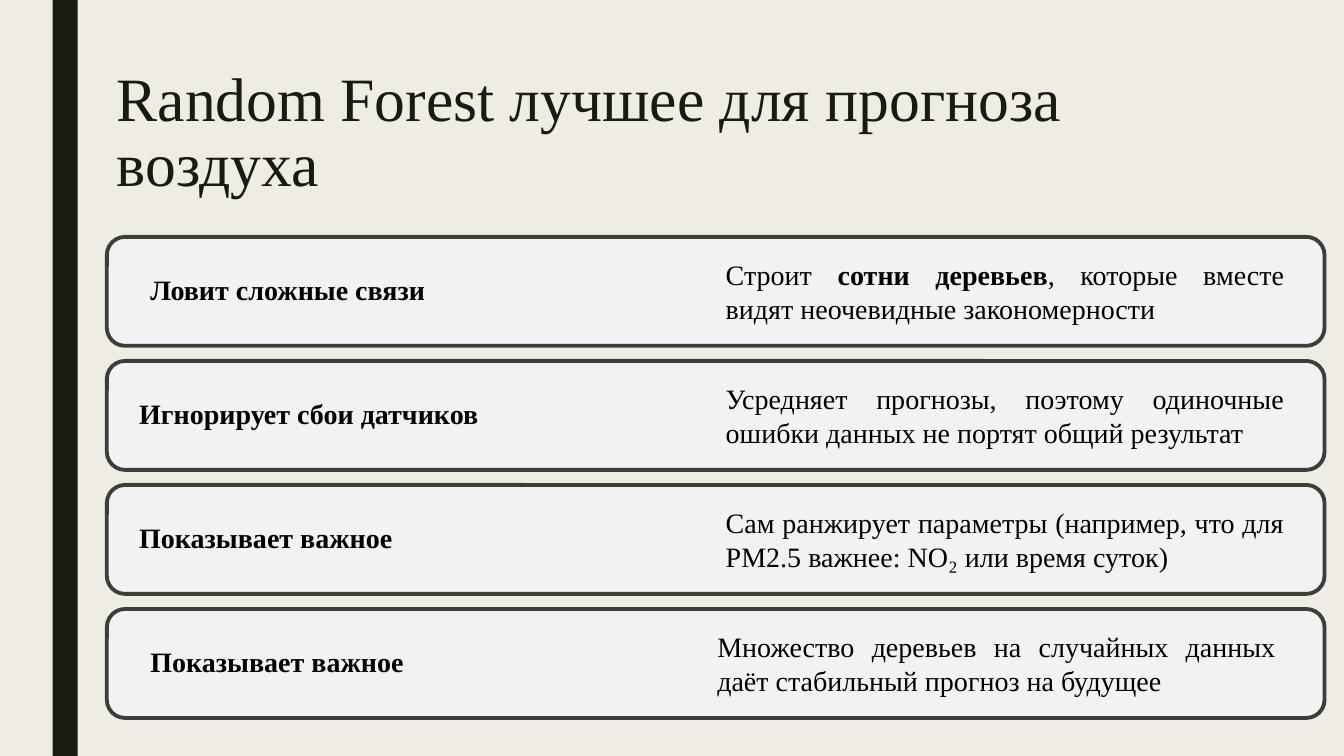
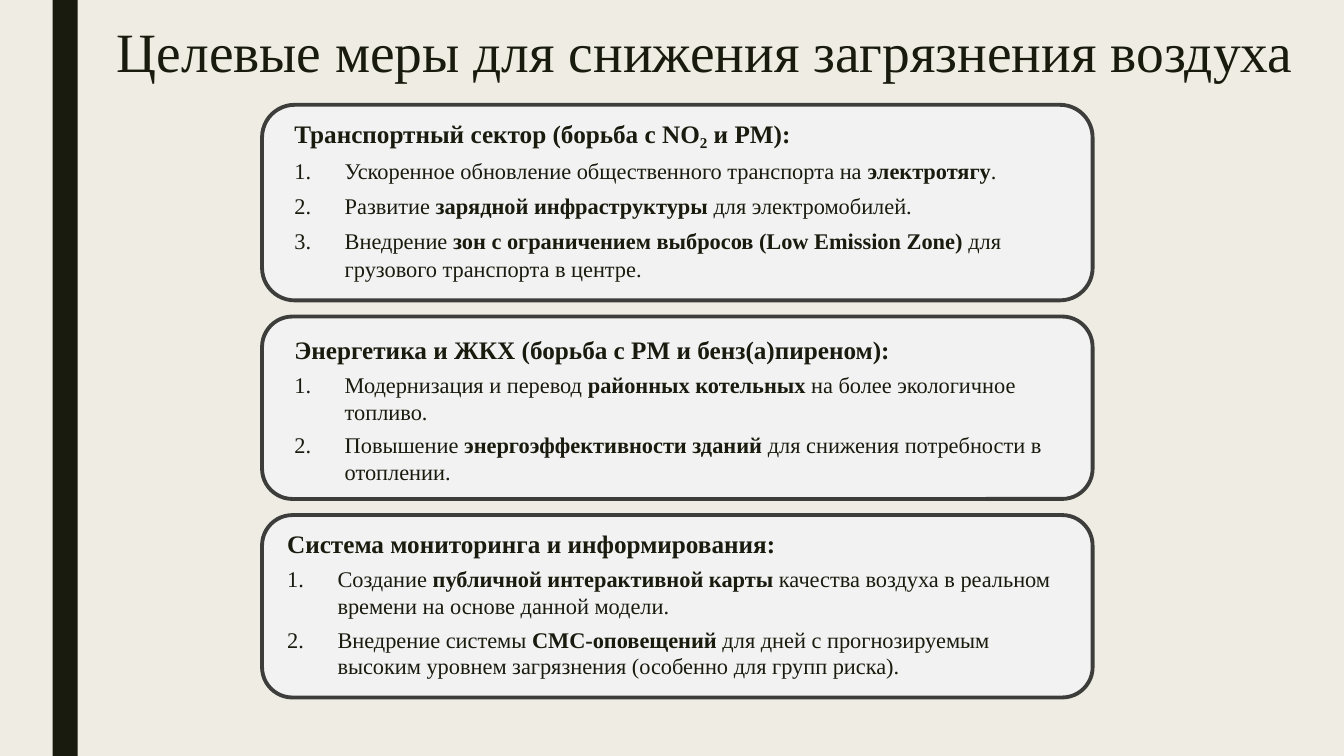
from lxml import etree
from pptx import Presentation
from pptx.dml.color import RGBColor
from pptx.enum import shapes, text
from pptx.oxml.ns import qn
from pptx.util import Pt

COLORS = {"background": "EFEDE3", "ink": "191B0E", "card": "F2F2F2", "outline": "3D3E3B", "black": "000000"}
FONT = "Times New Roman"
WIDTH, HEIGHT = 960, 540
LEFT = 76.3

ADVANTAGES = [
    ("Ловит сложные связи",
     "Строит **сотни деревьев**, которые вместе видят неочевидные закономерности", 24, 435),
    ("Игнорирует сбои датчиков",
     "Усредняет прогнозы, поэтому одиночные ошибки данных не портят общий результат", 16, 435),
    ("Показывает важное",
     "Сам ранжирует параметры (например, что для PM2.5 важнее: NO₂ или время суток)", 16, 435),
    ("Показывает важное",
     "Множество деревьев на случайных данных даёт стабильный прогноз на будущее", 24, 429),
]

MEASURES = [
    {"heading": "Транспортный сектор (борьба с NO₂ и PM):",
     "steps": ["Ускоренное обновление общественного транспорта на **электротягу**.",
               "Развитие **зарядной инфраструктуры** для электромобилей.",
               "Внедрение **зон с ограничением выбросов (Low Emission Zone)** для грузового транспорта в центре."],
     "height": 139.7, "inset": (16, 5), "text_width": 562, "spacing": 1.05},
    {"heading": "Энергетика и ЖКХ (борьба с PM и бенз(а)пиреном):",
     "steps": ["Модернизация и перевод **районных котельных** на более экологичное топливо.",
               "Повышение **энергоэффективности зданий** для снижения потребности в отоплении."],
     "height": 130.3, "inset": (16, 10), "text_width": 556, "spacing": 0.99},
    {"heading": "Система мониторинга и информирования:",
     "steps": ["Создание **публичной интерактивной карты** качества воздуха в реальном времени на основе данной модели.",
               "Внедрение системы **СМС-оповещений** для дней с прогнозируемым высоким уровнем загрязнения "
               "(особенно для групп риска)."],
     "height": 130.3, "inset": (10.8, 7), "text_width": 567, "spacing": 0.99},
]


def rgb(name):
    """Return the named palette colour."""
    return RGBColor.from_string(COLORS[name])


def add_box(slide, kind, left, top, width, height, fill, outline=None):
    """Add a flat preset shape with an optional outline."""
    shape = slide.shapes.add_shape(kind, Pt(left), Pt(top), Pt(width), Pt(height))
    shape.shadow.inherit = False
    shape.fill.solid()
    shape.fill.fore_color.rgb = rgb(fill)
    if outline:
        shape.line.color.rgb = rgb(outline)
        shape.line.width = Pt(2.75)
    else:
        shape.line.fill.background()


def add_card(slide, left, top, width, height):
    """Add a rounded card."""
    add_box(slide, shapes.MSO_SHAPE.ROUNDED_RECTANGLE, left, top, width, height, "card", "outline")


def add_frame(slide, left, top, width, height, anchor=text.MSO_ANCHOR.TOP):
    """Add a wrapping text box and return its text frame."""
    frame = slide.shapes.add_textbox(Pt(left), Pt(top), Pt(width), Pt(height)).text_frame
    frame.word_wrap = True
    frame.vertical_anchor = anchor
    return frame


def write(paragraph, content, size, color="ink", bold=False, spacing=1.0):
    """Fill a paragraph, with ** toggling bold."""
    paragraph.line_spacing = spacing
    for index, part in enumerate(content.split("**")):
        run = paragraph.add_run()
        run.text = part
        run.font.name = FONT
        run.font.size = Pt(size)
        run.font.bold = bold or index % 2 == 1
        run.font.color.rgb = rgb(color)


def number(paragraph):
    """Give a paragraph automatic numbering with a hanging indent."""
    properties = paragraph._p.get_or_add_pPr()
    properties.set("marL", str(Pt(36)))
    properties.set("indent", str(-Pt(36)))
    etree.SubElement(properties, qn("a:buFont")).set("typeface", FONT)
    etree.SubElement(properties, qn("a:buAutoNum")).set("type", "arabicPeriod")


def add_base(presentation, title, top, width, height, size):
    """Add a slide with the background, side band and title."""
    slide = presentation.slides.add_slide(presentation.slide_layouts[6])
    slide.background.fill.solid()
    slide.background.fill.fore_color.rgb = rgb("background")
    add_box(slide, shapes.MSO_SHAPE.RECTANGLE, 37.5, 0, 18, HEIGHT, "ink")
    frame = add_frame(slide, LEFT, top, width, height)
    write(frame.paragraphs[0], title, size, spacing=0.89)
    return slide


def add_advantage(slide, left, top, width, height, advantage):
    """Add a card with a bold label and a justified description."""
    label, description, label_inset, description_inset = advantage
    add_card(slide, left, top, width, height)
    middle = text.MSO_ANCHOR.MIDDLE
    label_frame = add_frame(slide, left + label_inset, top, 270, height, middle)
    write(label_frame.paragraphs[0], label, 20, "black", bold=True, spacing=0.94)
    description_frame = add_frame(slide, left + description_inset, top, 413, height, middle)
    paragraph = description_frame.paragraphs[0]
    paragraph.alignment = text.PP_ALIGN.JUSTIFY
    write(paragraph, description, 20, "black")


def add_measure(slide, left, top, width, measure):
    """Add a card with a heading and numbered steps."""
    height = measure["height"]
    inset_left, inset_top = measure["inset"]
    add_card(slide, left, top, width, height)
    frame = add_frame(slide, left + inset_left, top + inset_top, measure["text_width"], height - inset_top)
    write(frame.paragraphs[0], measure["heading"], 18, bold=True, spacing=measure["spacing"])
    for step in measure["steps"]:
        paragraph = frame.add_paragraph()
        paragraph.space_before = Pt(5)
        write(paragraph, step, 16, spacing=measure["spacing"])
        number(paragraph)


def build_advantages(presentation):
    """Build the slide on the strengths of the method."""
    slide = add_base(presentation, "Random Forest лучшее для прогноза воздуха", 45.4, 816.5, 116.6, 44)
    for index, advantage in enumerate(ADVANTAGES):
        add_advantage(slide, LEFT, 169.2 + index * 88.6, 869.8, 77.8, advantage)


def build_measures(presentation):
    """Build the slide on measures against pollution."""
    slide = add_base(presentation, "Целевые меры для снижения загрязнения воздуха", 14.4, WIDTH - LEFT, 60, 39.6)
    top = 74.9
    for measure in MEASURES:
        add_measure(slide, 187.2, top, 593.3, measure)
        top += measure["height"] + 11.5


def main():
    """Build and save the presentation."""
    presentation = Presentation()
    presentation.slide_width = Pt(WIDTH)
    presentation.slide_height = Pt(HEIGHT)
    build_advantages(presentation)
    build_measures(presentation)
    presentation.save("out.pptx")


if __name__ == "__main__":
    main()
